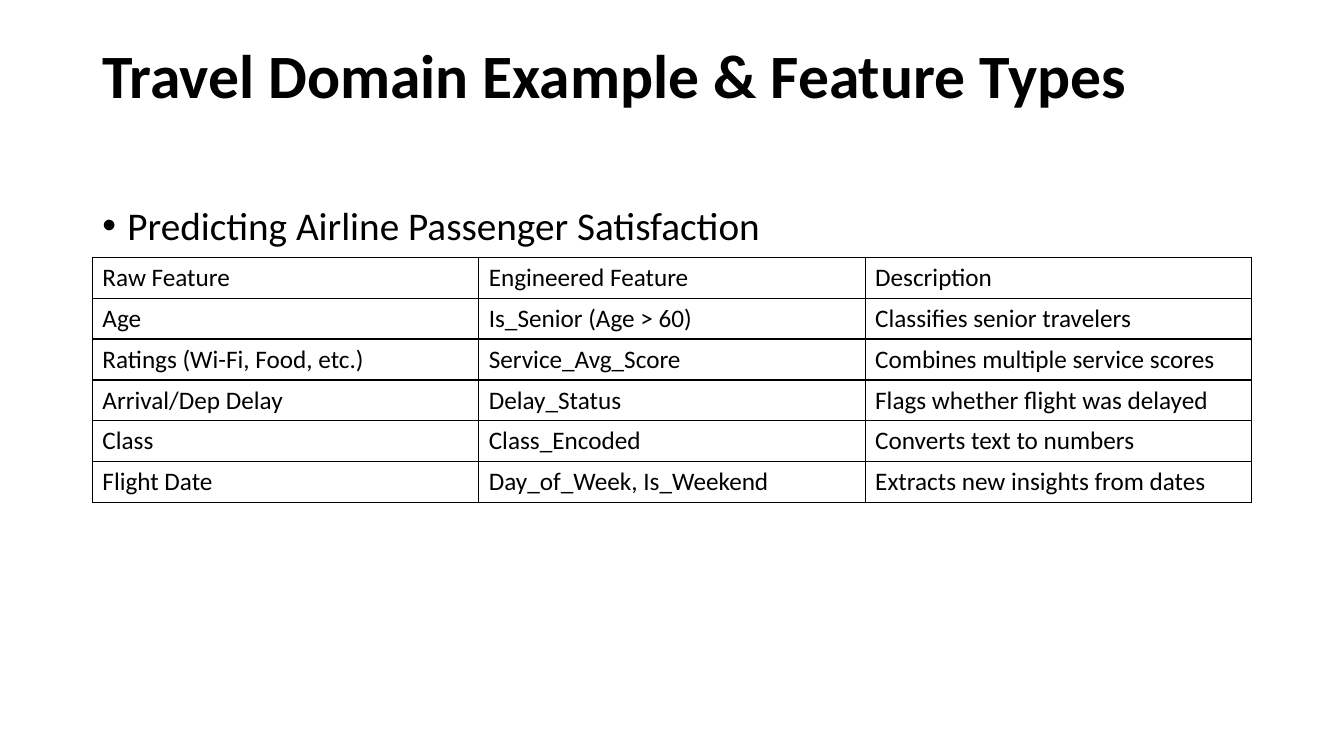
"""Build the slide on travel domain features and their engineered forms."""
from dataclasses import dataclass

from lxml import etree
from pptx import Presentation
from pptx import util as u
from pptx.dml.color import RGBColor
from pptx.enum import text
from pptx.oxml import ns

PX = 9525
FONT = "Calibri"
COLORS = {"ink": "000000", "paper": "FFFFFF"}
LEFT, WIDTH = 88, 1104
TABLE_TOP, ROW_HEIGHT = 245, 39
INDENT = 24


@dataclass(frozen=True)
class Passage:
    wording: str
    top: int
    height: int
    size: int
    bold: bool = False
    bulleted: bool = False
    space_before: int = 0


@dataclass(frozen=True)
class Feature:
    raw: str
    engineered: str
    description: str


PASSAGES = [
    Passage("Travel Domain Example & Feature Types", 38, 139, 44, bold=True),
    Passage("Predicting Airline Passenger Satisfaction", 192, 457, 28,
            bulleted=True, space_before=10),
]
FEATURES = [
    Feature("Raw Feature", "Engineered Feature", "Description"),
    Feature("Age", "Is_Senior (Age > 60)", "Classifies senior travelers"),
    Feature("Ratings (Wi-Fi, Food, etc.)", "Service_Avg_Score",
            "Combines multiple service scores"),
    Feature("Arrival/Dep Delay", "Delay_Status", "Flags whether flight was delayed"),
    Feature("Class", "Class_Encoded", "Converts text to numbers"),
    Feature("Flight Date", "Day_of_Week, Is_Weekend", "Extracts new insights from dates"),
]


def px(length: int) -> u.Emu:
    return u.Emu(length * PX)


def style_runs(paragraph, size: int, bold: bool = False) -> None:
    for run in paragraph.runs:
        run.font.name = FONT
        run.font.size = u.Pt(size)
        run.font.bold = bold
        run.font.color.rgb = RGBColor.from_string(COLORS["ink"])


def add_bullet(paragraph) -> None:
    properties = paragraph._p.get_or_add_pPr()
    properties.set("marL", str(px(INDENT)))
    properties.set("indent", str(-px(INDENT)))
    etree.SubElement(properties, ns.qn("a:buFont")).set("typeface", "Arial")
    etree.SubElement(properties, ns.qn("a:buChar")).set("char", "•")


def add_passage(slide, passage: Passage) -> None:
    frame = slide.shapes.add_textbox(
        px(LEFT), px(passage.top), px(WIDTH), px(passage.height)).text_frame
    frame.word_wrap = True
    frame.vertical_anchor = text.MSO_ANCHOR.TOP
    frame.text = passage.wording
    paragraph = frame.paragraphs[0]
    paragraph.line_spacing = 0.9
    paragraph.space_before = u.Pt(passage.space_before)
    if passage.bulleted:
        add_bullet(paragraph)
    style_runs(paragraph, passage.size, passage.bold)


def add_borders(cell) -> None:
    properties = cell._tc.get_or_add_tcPr()
    for side in ("lnL", "lnR", "lnT", "lnB"):
        line = etree.SubElement(properties, ns.qn(f"a:{side}"))
        line.set("w", str(u.Pt(1)))
        fill = etree.SubElement(line, ns.qn("a:solidFill"))
        etree.SubElement(fill, ns.qn("a:srgbClr")).set("val", COLORS["ink"])


def add_feature_table(slide, features: list[Feature]) -> None:
    table = slide.shapes.add_table(
        len(features), 3, px(LEFT), px(TABLE_TOP), px(WIDTH),
        px(ROW_HEIGHT * len(features))).table
    table.first_row = False
    table.horz_banding = False
    for row, feature in enumerate(features):
        wordings = (feature.raw, feature.engineered, feature.description)
        for column, wording in enumerate(wordings):
            cell = table.cell(row, column)
            cell.text_frame.text = wording
            cell.vertical_anchor = text.MSO_ANCHOR.MIDDLE
            style_runs(cell.text_frame.paragraphs[0], 18)
            add_borders(cell)
            cell.fill.background()


def main() -> None:
    deck = Presentation()
    deck.slide_width, deck.slide_height = px(1280), px(720)
    slide = deck.slides.add_slide(deck.slide_layouts[6])
    slide.background.fill.solid()
    slide.background.fill.fore_color.rgb = RGBColor.from_string(COLORS["paper"])
    for passage in PASSAGES:
        add_passage(slide, passage)
    add_feature_table(slide, FEATURES)
    deck.save("out.pptx")


if __name__ == "__main__":
    main()
